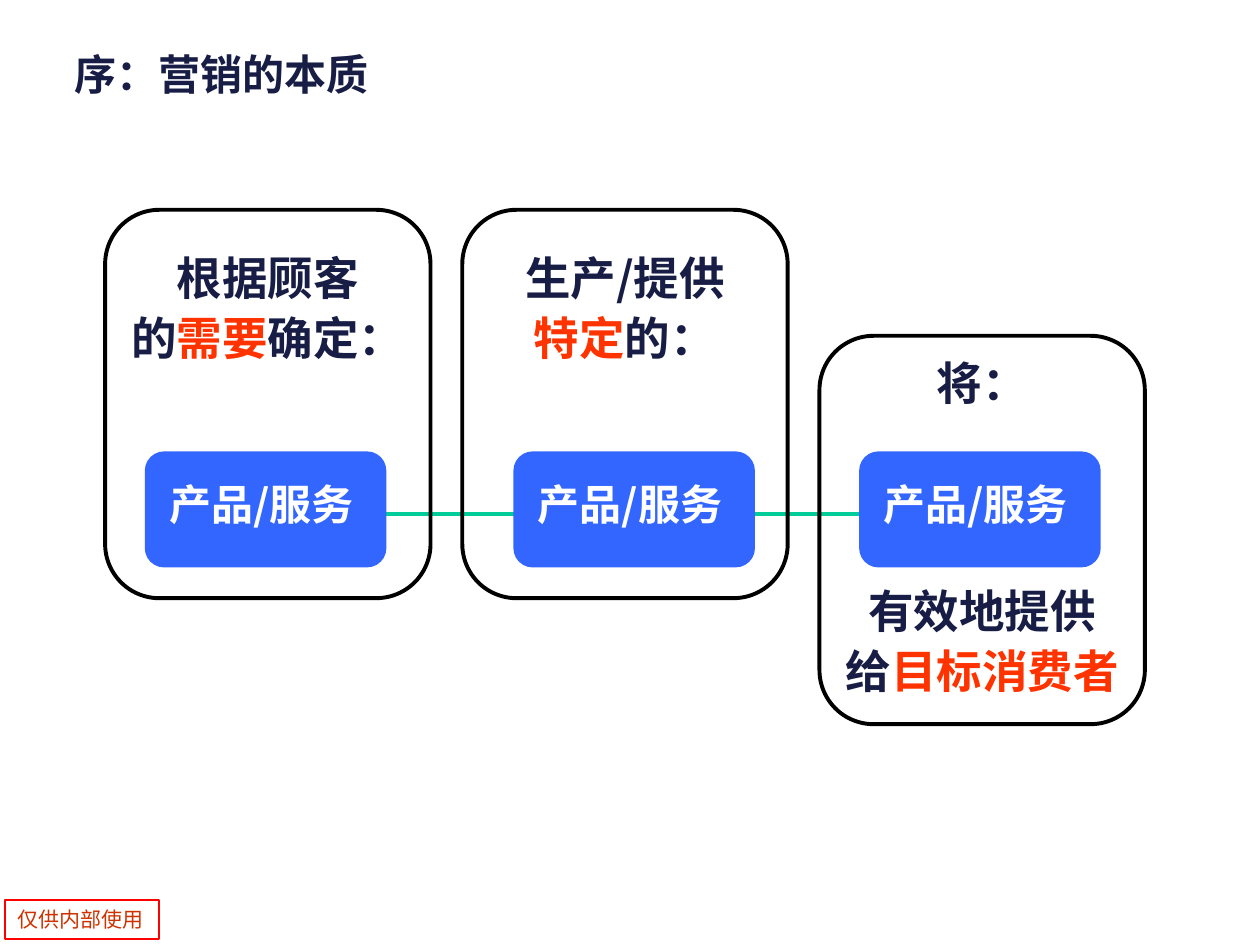
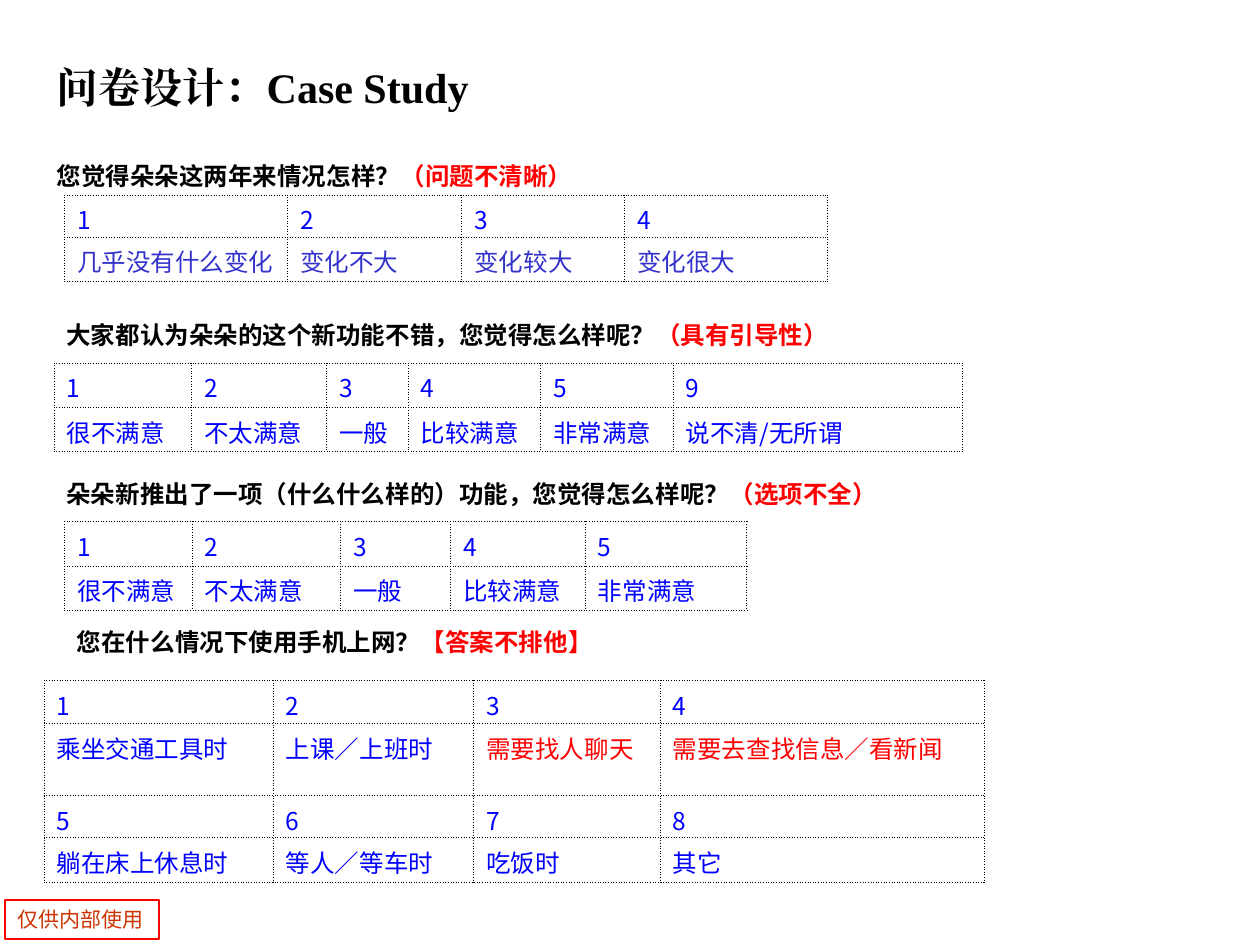
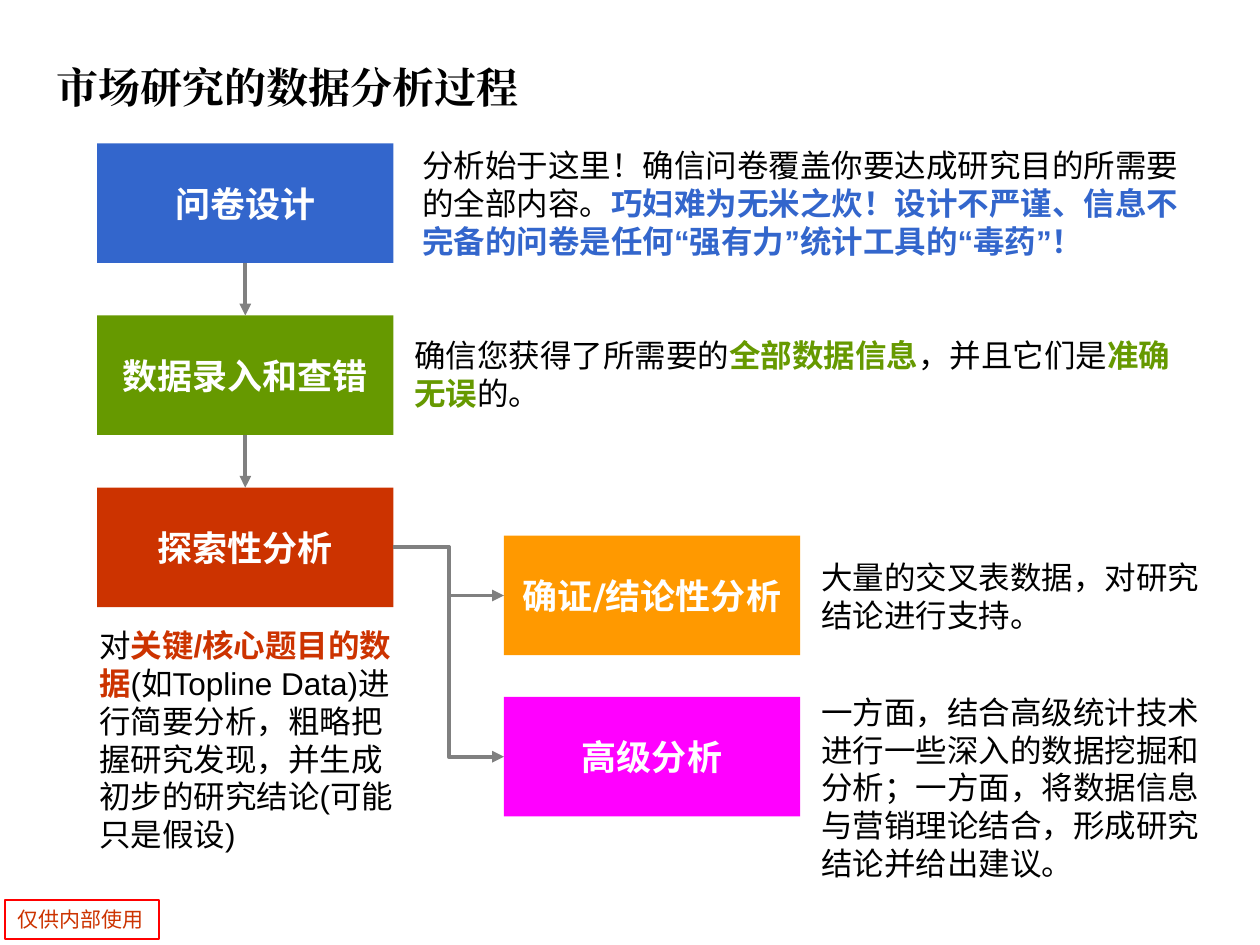
import pptx
import pptx.dml.color
import pptx.enum.lang
import pptx.enum.shapes
import pptx.enum.text
import pptx.oxml
import pptx.oxml.ns
import pptx.util
import lxml.etree

Cm = pptx.util.Cm
Pt = pptx.util.Pt
Rgb = pptx.dml.color.RGBColor.from_string
Shape = pptx.enum.shapes.MSO_SHAPE
Connector = pptx.enum.shapes.MSO_CONNECTOR
Align = pptx.enum.text.PP_ALIGN
Anchor = pptx.enum.text.MSO_ANCHOR
qn = pptx.oxml.ns.qn

COLORS = {
    "black": "000000", "white": "FFFFFF", "navy": "171D45", "tile": "3366FF",
    "orange red": "FF3300", "teal": "00CC99", "red": "FF0000", "blue": "0000FF",
    "violet": "3333CC", "steel": "3366CC", "green": "669900", "brick": "CC3300",
    "amber": "FF9900", "magenta": "FF00FF", "gray": "808080",
}
SANS = "Noto Sans CJK SC"


def write(holder, text, size=18, font="Arial", color="black", accent="red", bold=False,
          align=Align.LEFT, anchor=Anchor.TOP, spacing=None, before=0):
    frame = holder.text_frame
    frame.word_wrap = True
    frame.vertical_anchor = anchor
    for index, line in enumerate(text.split("\n")):
        para = frame.add_paragraph() if index else frame.paragraphs[0]
        para.alignment = align
        para.line_spacing = spacing
        para.space_before = Pt(before if index else 0)
        for part, words in enumerate(line.split("*")):
            if not words:
                continue
            marked = part % 2 == 1
            span = para.add_run()
            span.text = words
            span.font.size = Pt(size)
            span.font.bold = bold or marked
            span.font.name = font
            span.font.language_id = pptx.enum.lang.MSO_LANGUAGE_ID.SIMPLIFIED_CHINESE
            span.font.color.rgb = Rgb(COLORS[accent if marked else color])
            east = lxml.etree.SubElement(span.font._element, qn("a:ea"))
            east.set("typeface", font)


def draw_box(page, kind, area, fill=None, line=None, width=1):
    place = [Cm(length) for length in area]
    if kind is None:
        return page.shapes.add_textbox(*place)
    box = page.shapes.add_shape(kind, *place)
    box.shadow.inherit = False
    if fill:
        box.fill.solid()
        box.fill.fore_color.rgb = Rgb(COLORS[fill])
    else:
        box.fill.background()
    if line:
        box.line.color.rgb = Rgb(COLORS[line])
        box.line.width = Pt(width)
    else:
        box.line.fill.background()
    return box


deck = pptx.Presentation()
deck.slide_width, deck.slide_height = Cm(25.4), Cm(19.05)
layout = deck.slide_layouts[5]

titles = [
    ("序：营销的本质", (1.24, 0.86, 9.07, 2.26), "Arial", "navy", Anchor.TOP),
    ("问卷设计：Case Study", (0.89, 0.58, 24, 2.34), "Times New Roman", "black", Anchor.MIDDLE),
    ("市场研究的数据分析过程", (0.89, 0.58, 24, 2.34), "Times New Roman", "black", Anchor.MIDDLE),
]
pages = []
for text, area, font, color, anchor in titles:
    page = deck.slides.add_slide(layout)
    title = page.shapes.title
    title.left, title.top, title.width, title.height = [Cm(length) for length in area]
    write(title, text, size=24, font=font, color=color, bold=True, anchor=anchor)
    title.text_frame.auto_size = pptx.enum.text.MSO_AUTO_SIZE.NONE
    pages.append(page)
essence, survey, process = pages

notice = draw_box(essence, Shape.RECTANGLE, (0.1, 18.14, 3.1, 0.79), line="red")
write(notice, "仅供内部使用", size=12, font=SANS, color="brick", anchor=Anchor.MIDDLE)
notice.element.nvSpPr.cNvPr.id = 20
layout.shapes.element.append(notice.element)

chain = essence.shapes.add_connector(Connector.STRAIGHT, Cm(5.08), Cm(10.37), Cm(19.88), Cm(10.37))
connectors = [(chain, "teal", "oval", "oval")]

cards = [
    (4.23, 2.92, [("根据顾客\n的*需要*确定：", 4.93, 2.7)]),
    (4.23, 10.35, [("生产/提供\n*特定*的：", 4.93, 2.7)]),
    (6.77, 17.32, [("将：", 7.19, 1.19), ("有效地提供\n给*目标消费者*", 11.64, 2.7)]),
]
for index, (card_top, tile_left, captions) in enumerate(cards):
    card_left = 2.12 + 7.2 * index
    draw_box(essence, Shape.ROUNDED_RECTANGLE, (tile_left, 9.1, 4.87, 2.34), fill="tile")
    label = draw_box(essence, None, (tile_left - 0.17, 9.52, 5.04, 1.27))
    write(label, "产品/服务", size=24, font=SANS, color="white", bold=True,
          align=Align.CENTER, anchor=Anchor.MIDDLE)
    draw_box(essence, Shape.ROUNDED_RECTANGLE, (card_left, card_top, 6.56, 7.83),
             line="black", width=2.25)
    for text, top, height in captions:
        caption = draw_box(essence, None, (card_left, top, 6.56, height))
        write(caption, text, size=26, font=SANS, color="navy", accent="orange red", bold=True,
              align=Align.CENTER, anchor=Anchor.MIDDLE, spacing=0.85, before=7.5)

questions = [
    ("您觉得朵朵这两年来情况怎样？*（问题不清晰）*", (0.89, 3.12, 16.61, 0.84),
     (1.3, 3.93), [4.5, 3.51, 3.28, 4.09], [0.85, 0.89],
     ["1 2 3 4", "几乎没有什么变化 变化不大 变化较大 变化很大"]),
    ("大家都认为朵朵的这个新功能不错，您觉得怎么样呢？*（具有引导性）*", (1.09, 6.32, 17.4, 0.84),
     (1.09, 7.32), [2.77, 2.72, 1.65, 2.67, 2.67, 5.84], [0.89, 0.89],
     ["1 2 3 4 5 9", "很不满意 不太满意 一般 比较满意 非常满意 说不清/无所谓"]),
    ("朵朵新推出了一项（什么什么样的）功能，您觉得怎么样呢？*（选项不全）*", (1.09, 9.53, 20.4, 0.84),
     (1.3, 10.52), [2.57, 3, 2.21, 2.72, 3.25], [0.89, 0.89],
     ["1 2 3 4 5", "很不满意 不太满意 一般 比较满意 非常满意"]),
    ("您在什么情况下使用手机上网？*【答案不排他】*", (1.3, 12.52, 18.39, 0.84),
     (0.89, 13.72), [4.62, 4.04, 3.76, 6.53], [0.87, 1.45, 0.85, 0.89],
     ["1 2 3 4", "乘坐交通工具时 上课／上班时 需要找人聊天 需要去查找信息／看新闻",
      "5 6 7 8", "躺在床上休息时 等人／等车时 吃饭时 其它"]),
]
overlapping = {"需要找人聊天", "需要去查找信息／看新闻"}
for text, area, (left, top), widths, heights, rows in questions:
    question = draw_box(survey, Shape.RECTANGLE, area, fill="white")
    write(question, text, size=14, font=SANS, bold=True, align=Align.JUSTIFY, anchor=Anchor.MIDDLE)
    answers = survey.shapes.add_table(len(rows), len(widths), Cm(left), Cm(top),
                                      Cm(sum(widths)), Cm(sum(heights))).table
    answers.first_row = answers.horz_banding = False
    for column, width in zip(answers.columns, widths):
        column.width = Cm(width)
    for row, height, line in zip(answers.rows, heights, rows):
        row.height = Cm(height)
        for cell, answer in zip(row.cells, line.split()):
            color = "blue"
            if answer in overlapping:
                color = "red"
            elif "变化" in answer:
                color = "violet"
            cell.margin_bottom = 0
            cell.fill.background()
            write(cell, answer, size=14, font=SANS, color=color)
            for position, side in enumerate(("lnL", "lnR", "lnT", "lnB")):
                border = pptx.oxml.parse_xml(
                    f'<a:{side} {pptx.oxml.ns.nsdecls("a")} w="6350"><a:solidFill>'
                    f'<a:srgbClr val="{COLORS["black"]}"/></a:solidFill>'
                    f'<a:prstDash val="sysDot"/></a:{side}>')
                cell._tc.get_or_add_tcPr().insert(position, border)

steps = [
    ("问卷设计", 1.96, 2.89, "steel"),
    ("数据录入和查错", 1.96, 6.36, "green"),
    ("探索性分析", 1.96, 9.83, "brick"),
    ("确证/结论性分析", 10.16, 10.8, "amber"),
    ("高级分析", 10.16, 14.05, "magenta"),
]
boxes = []
for text, left, top, fill in steps:
    box = draw_box(process, Shape.RECTANGLE, (left, top, 5.97, 2.41), fill=fill)
    write(box, text, size=20, font="DejaVu Sans", color="white", bold=True,
          align=Align.CENTER, anchor=Anchor.MIDDLE)
    boxes.append(box)

design, entry, explore, confirm, advanced = boxes
links = [
    (Connector.STRAIGHT, design, 2, entry, 0),
    (Connector.STRAIGHT, entry, 2, explore, 0),
    (Connector.ELBOW, explore, 3, confirm, 1),
    (Connector.ELBOW, explore, 3, advanced, 1),
]
for kind, source, start, target, end in links:
    arrow = process.shapes.add_connector(kind, 0, 0, 0, 0)
    arrow.begin_connect(source, start)
    arrow.end_connect(target, end)
    connectors.append((arrow, "gray", "none", "triangle"))

remarks = [
    ("分析始于这里！确信问卷覆盖你要达成研究目的所需要的全部内容。"
     "*巧妇难为无米之炊！设计不严谨、信息不完备的问卷是任何“强有力”统计工具的“毒药”！*",
     (8.26, 2.82, 16.26, 2.57), "steel"),
    ("确信您获得了所需要的*全部数据信息*，并且它们是*准确无误*的。",
     (8.1, 6.65, 16.26, 1.73), "green"),
    ("对*关键/核心题目的数据*(如Topline Data)进行简要分析，粗略把握研究发现，"
     "并生成初步的研究结论(可能只是假设)", (1.75, 12.5, 6.55, 4.65), "brick"),
    ("大量的交叉表数据，对研究结论进行支持。", (16.31, 11.13, 8.26, 1.78), "amber"),
    ("一方面，结合高级统计技术进行一些深入的数据挖掘和分析；一方面，"
     "将数据信息与营销理论结合，形成研究结论并给出建议。",
     (16.31, 13.84, 8.26, 4.52), "magenta"),
]
for text, area, accent in remarks:
    write(draw_box(process, None, area), text, accent=accent)

for connector, color, head, tail in connectors:
    connector.line.color.rgb = Rgb(COLORS[color])
    connector.line.width = Pt(2.25)
    shape_format = connector.element.spPr
    outline = shape_format.find(qn("a:ln"))
    lxml.etree.SubElement(outline, qn("a:headEnd")).set("type", head)
    lxml.etree.SubElement(outline, qn("a:tailEnd")).set("type", tail)
    lxml.etree.SubElement(shape_format, qn("a:effectLst"))

deck.save("out.pptx")
